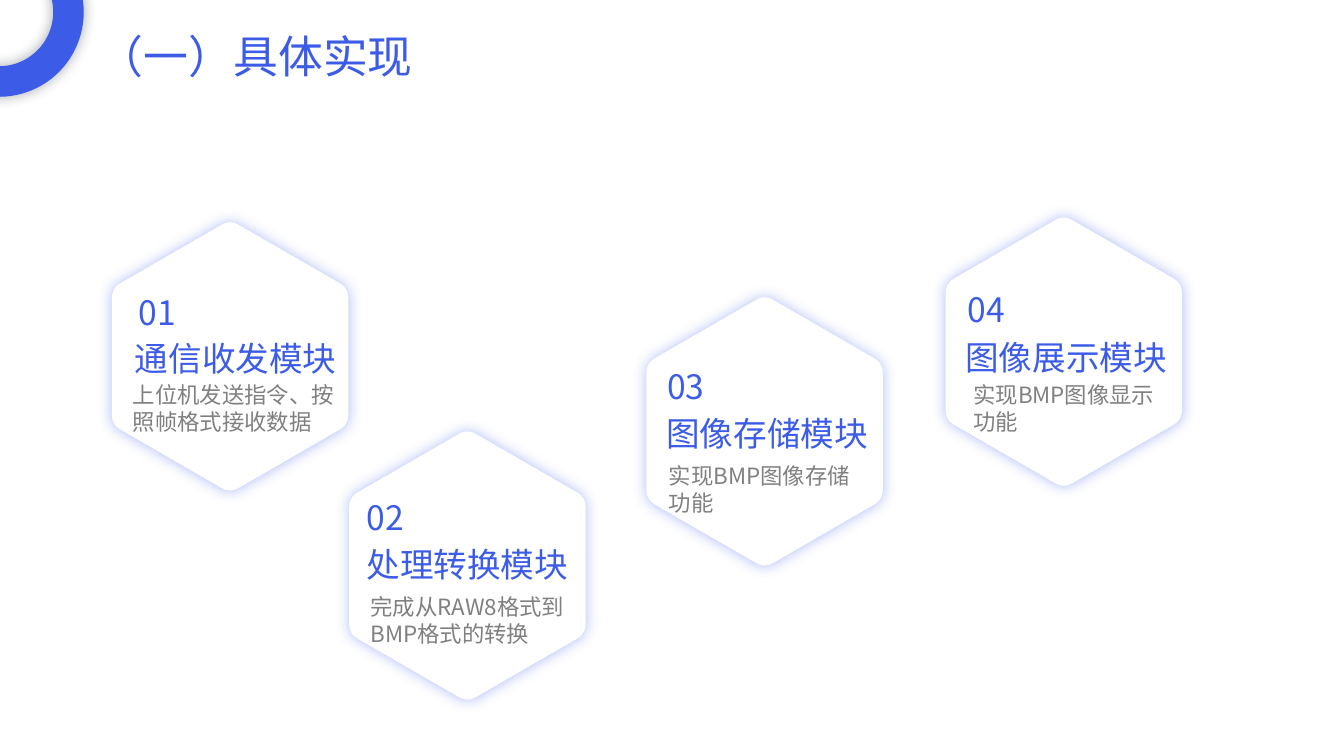
from dataclasses import dataclass
from math import cos, pi, sin

from lxml.etree import SubElement as Sub
from pptx import Presentation
from pptx.dml.color import RGBColor as Rgb
from pptx.enum.shapes import MSO_SHAPE as Kind
from pptx.enum.text import MSO_ANCHOR as Anchor
from pptx.enum.text import MSO_AUTO_SIZE as Fit
from pptx.enum.text import PP_ALIGN as Align
from pptx.oxml.ns import qn
from pptx.util import Cm, Pt


@dataclass(frozen=True)
class Theme:
    """Colours, font and type sizes."""
    blue: str = "3C5CE8"
    gray: str = "808080"
    white: str = "FFFFFF"
    dark: str = "222A35"
    font: str = "Noto Sans CJK SC"
    title: int = 32
    head: int = 24
    body: int = 16


LOOK = Theme()
SIDE = 3.44
CUT = 0.25
STEPS = 6

CELLS = [
    ((5.8, 8.98), "01", (3.25, 7.16), "通信收发模块", (3.15, 8.31),
     "上位机发送指令、按照帧格式接收数据", (3.1, 9.42), 5.97),
    ((11.78, 14.25), "02", (8.99, 12.32), "处理转换模块", (8.99, 13.51),
     "完成从RAW8格式到BMP格式的转换", (9.09, 14.76), 5.54),
    ((19.27, 10.87), "03", (16.56, 9.02), "图像存储模块", (16.54, 10.21),
     "实现BMP图像存储功能", (16.61, 11.46), 5.38),
    ((26.81, 8.86), "04", (24.13, 7.09), "图像展示模块", (24.08, 8.28),
     "实现BMP图像显示功能", (24.28, 9.42), 5.49),
]


def paint(shape, fill, glow):
    """Fill a shape without outline and give it a soft glow shadow."""
    shape.fill.solid()
    shape.fill.fore_color.rgb = Rgb.from_string(fill)
    shape.line.fill.background()
    shape.shadow.inherit = False
    effect = shape._element.spPr.find(qn("a:effectLst"))
    outer = Sub(effect, qn("a:outerShdw"), blurRad=str(Pt(10)), dist="0",
                dir="0", algn="ctr", rotWithShape="0")
    tint = Sub(outer, qn("a:srgbClr"), val=glow)
    Sub(tint, qn("a:alpha"), val="40000")


def write(shape, text, size, color, pitch=1.2, wrap=True):
    """Set one left-aligned paragraph with the theme font."""
    frame = shape.text_frame
    frame.text = text
    frame.word_wrap = wrap
    frame.auto_size = Fit.NONE
    frame.vertical_anchor = Anchor.TOP
    frame.margin_top = Cm(0.13 + size * 0.003)
    para = frame.paragraphs[0]
    para.alignment = Align.LEFT
    para.space_before = Pt(0)
    para.line_spacing = Pt(round(size * pitch, 1))
    for run in para.runs:
        run.font.size = Pt(size)
        run.font.color.rgb = Rgb.from_string(color)
        run.font.name = LOOK.font
        Sub(run._r.get_or_add_rPr(), qn("a:ea"), typeface=LOOK.font)


def label(shapes, text, spot, width, height, size, color, wrap=False):
    """Add a text box."""
    box = shapes.add_textbox(*map(Cm, spot), Cm(width), Cm(height))
    write(box, text, size, color, wrap=wrap)


def curve(center):
    """List the points of a hexagon with rounded corners."""
    tips = [(center[0] + SIDE * sin(i * pi / 3),
             center[1] - SIDE * cos(i * pi / 3)) for i in range(6)]
    share = CUT / SIDE
    points = []
    for i, tip in enumerate(tips):
        last, after = tips[i - 1], tips[(i + 1) % 6]
        for step in range(STEPS + 1):
            t = step / STEPS
            back, fore = share * (1 - t) ** 2, share * t ** 2
            points.append(tuple(
                Cm(c + back * (a - c) + fore * (b - c))
                for a, c, b in zip(last, tip, after)))
    return points


def cell(slide, center, num, spot, head, place, body, base, width):
    """Add one module as a group of hexagon and texts."""
    shapes = slide.shapes.add_group_shape().shapes
    first, *rest = curve(center)
    pen = shapes.build_freeform(*first)
    pen.add_line_segments(rest, close=True)
    paint(pen.convert_to_shape(), LOOK.white, LOOK.blue)
    label(shapes, body, base, width, 1.63, LOOK.body, LOOK.gray, wrap=True)
    label(shapes, head, place, 5.64, 1.27, LOOK.head, LOOK.blue)
    label(shapes, num, spot, 1.52, 1.27, LOOK.head, LOOK.blue)


def ring(slide):
    """Add the corner ring."""
    shape = slide.shapes.add_shape(
        Kind.DONUT, Cm(-2.16), Cm(-1.83), Cm(4.27), Cm(4.27))
    shape.adjustments[0] = 0.18
    paint(shape, LOOK.blue, LOOK.dark)


def title(slide, text):
    """Place and format the title."""
    shape = slide.shapes.title
    shape.left, shape.top = Cm(2.24), Cm(0.64)
    shape.width, shape.height = Cm(15.21), Cm(2.34)
    write(shape, text, LOOK.title, LOOK.blue, pitch=1.08)


def main():
    """Build and save the slide."""
    deck = Presentation()
    deck.slide_width, deck.slide_height = Cm(33.87), Cm(19.05)
    slide = deck.slides.add_slide(deck.slide_layouts[5])
    ring(slide)
    title(slide, "（一）具体实现")
    for item in CELLS:
        cell(slide, *item)
    deck.save("out.pptx")


if __name__ == "__main__":
    main()
